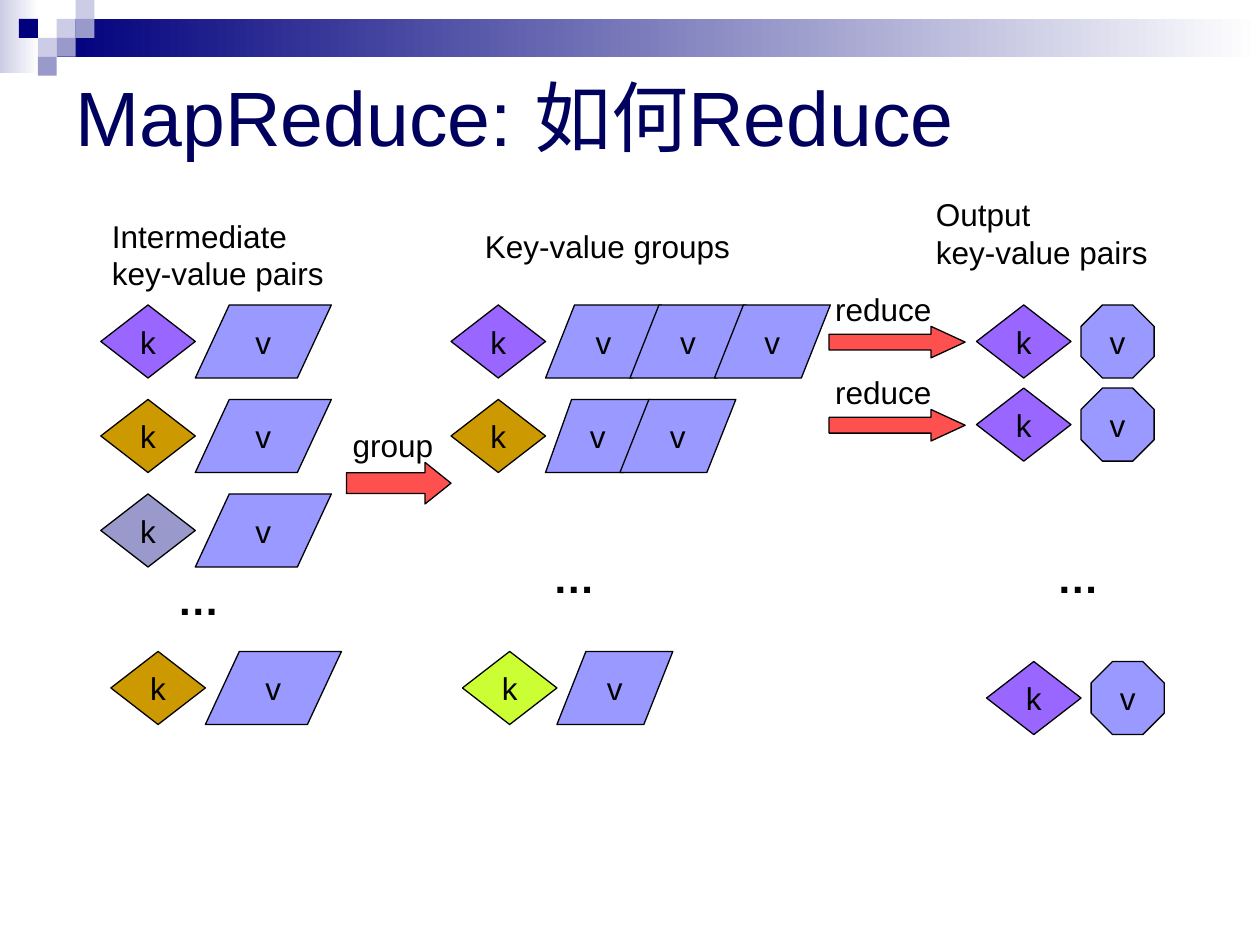
from dataclasses import dataclass

import pptx
import pptx.dml.color
import pptx.enum.shapes
import pptx.enum.text
import pptx.util

Inches = pptx.util.Inches
SHAPE = pptx.enum.shapes.MSO_SHAPE
ALIGN = pptx.enum.text.PP_ALIGN
ANCHOR = pptx.enum.text.MSO_ANCHOR
AUTO_SIZE = pptx.enum.text.MSO_AUTO_SIZE


@dataclass(frozen=True)
class Theme:
    font: str = "Arial"
    title_size: int = 44
    label_size: int = 18
    dots_size: int = 24
    outline: float = 0.75
    title: str = "00005E"
    ink: str = "000000"
    paper: str = "FFFFFF"
    navy: str = "00007D"
    pale: str = "CCCCE6"
    muted: str = "9999CC"
    violet: str = "9966FF"
    ochre: str = "CC9900"
    lime: str = "CCFF33"
    value: str = "9999FF"
    arrow: str = "FF5050"


THEME = Theme()
KEY_WIDTH, ROW_HEIGHT = 0.75, 0.58
TILE = 0.15
MARGINS = {
    "margin_left": Inches(0.1), "margin_right": Inches(0.1),
    "margin_top": Inches(0.05), "margin_bottom": Inches(0.05),
}


def rgb(code):
    return pptx.dml.color.RGBColor.from_string(code)


def apply(target, formats):
    for name, value in formats.items():
        setattr(target, name, value)


def write(frame, text, size, color=THEME.ink, bold=False, align=ALIGN.LEFT, **frame_formats):
    frame.text = text
    apply(frame, {**MARGINS, **frame_formats})
    for paragraph in frame.paragraphs:
        paragraph.alignment = align
        apply(paragraph.font, {"name": THEME.font, "size": pptx.util.Pt(size), "bold": bold})
        paragraph.font.color.rgb = rgb(color)


def add_block(slide, preset, box, color, adjustments=(), outlined=True):
    block = slide.shapes.add_shape(preset, *map(Inches, box))
    block.shadow.inherit = False
    block.fill.solid()
    block.fill.fore_color.rgb = rgb(color)
    if outlined:
        block.line.color.rgb = rgb(THEME.ink)
        block.line.width = pptx.util.Pt(THEME.outline)
    else:
        block.line.fill.background()
    for index, adjustment in enumerate(adjustments):
        block.adjustments[index] = adjustment
    return block


def add_label(slide, text, box, size=THEME.label_size, bold=False, wrap=False):
    label = slide.shapes.add_textbox(*map(Inches, box))
    write(label.text_frame, text, size, bold=bold, word_wrap=wrap,
          auto_size=AUTO_SIZE.SHAPE_TO_FIT_TEXT)


def add_dots(slide, left, top):
    add_label(slide, "…", (left, top, 0.53, 0.5), THEME.dots_size, bold=True)


def add_lettered(slide, letter, preset, box, color, adjustments=()):
    block = add_block(slide, preset, box, color, adjustments)
    write(block.text_frame, letter, THEME.label_size, align=ALIGN.CENTER,
          vertical_anchor=ANCHOR.MIDDLE, word_wrap=False)


def add_key(slide, left, top, color):
    add_lettered(slide, "k", SHAPE.DIAMOND, (left, top, KEY_WIDTH, ROW_HEIGHT), color)


def add_group(slide, left, top, key_color, widths, step=0.0):
    """Draw a key and its overlapping values, one for each width."""
    add_key(slide, left, top, key_color)
    for index, width in enumerate(widths):
        slant = width / 4 / ROW_HEIGHT
        add_lettered(slide, "v", SHAPE.PARALLELOGRAM,
                     (left + KEY_WIDTH + index * step, top, width, ROW_HEIGHT),
                     THEME.value, [slant])


def add_output(slide, left, top):
    add_key(slide, left, top, THEME.violet)
    add_lettered(slide, "v", SHAPE.OCTAGON, (left + 0.83, top, ROW_HEIGHT, ROW_HEIGHT),
                 THEME.value, [0.293])


def add_step(slide, name, box, head, label_width):
    """Draw an arrow with its name above it."""
    left, top = box[:2]
    add_block(slide, SHAPE.RIGHT_ARROW, box, THEME.arrow, [0.5, head])
    add_label(slide, name, (left - 0.05, top - 0.34, label_width, 0.4))


def add_banner(slide):
    for box, color in (((0, 0, 0.31, 0.58), THEME.pale),
                       ((0.45, 0.15, 9.55, 0.3), THEME.navy)):
        band = add_block(slide, SHAPE.RECTANGLE, box, color, outlined=False)
        band.fill.gradient()
        band.fill.gradient_angle = 0
        for stop, shade in zip(band.fill.gradient_stops, (color, THEME.paper)):
            stop.color.rgb = rgb(shade)
    tiles = ((3, 1, THEME.pale), (4, 0, THEME.pale), (4, 1, THEME.muted),
             (2, 2, THEME.pale), (1, 1, THEME.navy), (3, 2, THEME.muted),
             (2, 3, THEME.muted))
    for column, row, color in tiles:
        add_block(slide, SHAPE.RECTANGLE, (column * TILE, row * TILE, TILE, TILE),
                  color, outlined=False)


def add_title(slide, text):
    title = slide.shapes.title
    apply(title, {"left": Inches(0.5), "top": Inches(0.17),
                  "width": Inches(9), "height": Inches(1.5)})
    write(title.text_frame, text, THEME.title_size, THEME.title,
          vertical_anchor=ANCHOR.MIDDLE, word_wrap=True, auto_size=AUTO_SIZE.NONE)


def add_intermediate_pairs(slide):
    add_label(slide, "Intermediate\nkey-value pairs", (0.79, 1.67, 1.9, 0.7))
    for row, color in enumerate((THEME.violet, THEME.ochre, THEME.muted)):
        add_group(slide, 0.8, 2.42 + row * 0.75, color, [1.08])
    add_dots(slide, 1.31, 4.5)
    add_group(slide, 0.88, 5.17, THEME.ochre, [1.08])


def add_key_value_groups(slide):
    add_label(slide, "Key-value groups", (3.75, 1.75, 2.58, 0.4), wrap=True)
    add_group(slide, 3.58, 2.42, THEME.violet, [0.92] * 3, step=0.67)
    add_group(slide, 3.58, 3.17, THEME.ochre, [0.83, 0.92], step=0.59)
    add_dots(slide, 4.29, 4.33)
    add_group(slide, 3.67, 5.17, THEME.lime, [0.92])


def add_output_pairs(slide):
    add_label(slide, "Output\nkey-value pairs", (7.33, 1.5, 2.25, 0.7), wrap=True)
    for top in (2.42, 3.08):
        add_step(slide, "reduce", (6.58, top + 0.17, 1.08, 0.25), 1.083, 1.0)
        add_output(slide, 7.75, top)
    add_dots(slide, 8.29, 4.33)
    add_output(slide, 7.83, 5.25)


def main():
    deck = pptx.Presentation()
    apply(deck, {"slide_width": Inches(10), "slide_height": Inches(7.5)})
    slide = deck.slides.add_slide(deck.slide_layouts[5])
    add_banner(slide)
    add_title(slide, "MapReduce: 如何Reduce")
    add_intermediate_pairs(slide)
    add_step(slide, "group", (2.75, 3.67, 0.83, 0.33), 0.625, 0.86)
    add_key_value_groups(slide)
    add_output_pairs(slide)
    deck.save("out.pptx")


if __name__ == "__main__":
    main()
